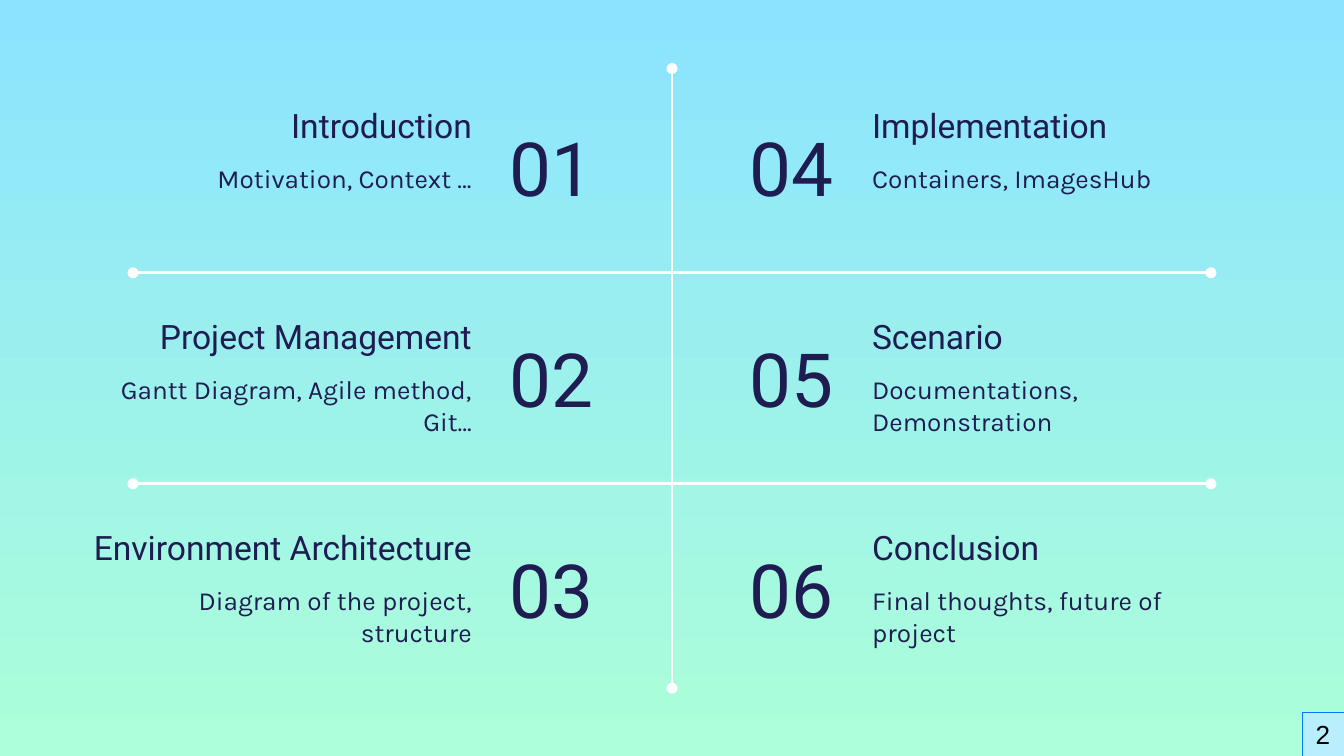
"""Build an agenda slide with six numbered sections around a white grid."""
from lxml.etree import SubElement
from pptx import Presentation
from pptx.dml.color import RGBColor
from pptx.enum.shapes import MSO_CONNECTOR, MSO_SHAPE
from pptx.enum.text import MSO_ANCHOR, MSO_AUTO_SIZE, PP_ALIGN
from pptx.oxml.ns import qn
from pptx.util import Inches, Pt

COLORS = {
    "sky": "8BE3FF",
    "mint": "ACFFD9",
    "ink": "1F1C51",
    "line": "FFFFFF",
    "badge": "B9EEFF",
    "badge_line": "007BFF",
    "black": "000000",
}
ROW_PITCH = 1.57
TEXT_WIDTH = 2.98
LEFT_EDGE = 3.61
RIGHT_EDGE = 6.39

LEFT_SECTIONS = [
    ("01", "Introduction", "Motivation, Context …", TEXT_WIDTH),
    ("02", "Project Management", "Gantt Diagram, Agile method, Git…", TEXT_WIDTH),
    ("03", "Environment Architecture", "Diagram of the project, structure", 3.23),
]
RIGHT_SECTIONS = [
    ("04", "Implementation", "Containers, ImagesHub"),
    ("05", "Scenario", "Documentations, Demonstration"),
    ("06", "Conclusion", "Final thoughts, future of project"),
]


def rgb(name):
    return RGBColor.from_string(COLORS[name])


def add_run(p, text, font, size, color):
    r = p.add_run()
    r.text = text
    r.font.name = font
    r.font.size = Pt(size)
    r.font.color.rgb = rgb(color)


def set_background(s):
    fill = s.background.fill
    fill.gradient()
    fill.gradient_angle = 270
    for stop, name in zip(fill.gradient_stops, ("sky", "mint")):
        stop.color.rgb = rgb(name)


def add_text(s, box, text, font, size, align, anchor):
    tf = s.shapes.add_textbox(*map(Inches, box)).text_frame
    tf.word_wrap = True
    tf.vertical_anchor = anchor
    tf.margin_left = tf.margin_right = Inches(0.1)
    tf.margin_top = tf.margin_bottom = Inches(0.1)
    p = tf.paragraphs[0]
    p.alignment = align
    add_run(p, text, font, size, "ink")


def add_divider(s, x1, y1, x2, y2):
    line = s.shapes.add_connector(
        MSO_CONNECTOR.STRAIGHT, Inches(x1), Inches(y1), Inches(x2), Inches(y2))
    line.line.color.rgb = rgb("line")
    line.line.width = Pt(1.5)
    ln = line.line._get_or_add_ln()
    for end in ("a:headEnd", "a:tailEnd"):
        SubElement(ln, qn(end), type="oval")
    SubElement(line._element.spPr, qn("a:effectLst"))


def add_section(s, row, number, title, detail, title_width=TEXT_WIDTH, left=True):
    y = row * ROW_PITCH
    number_x = 3.69 if left else 5
    title_x = LEFT_EDGE - title_width if left else RIGHT_EDGE
    detail_x = LEFT_EDGE - TEXT_WIDTH if left else RIGHT_EDGE
    text_align = PP_ALIGN.RIGHT if left else PP_ALIGN.LEFT
    number_align = PP_ALIGN.LEFT if left else PP_ALIGN.RIGHT
    add_text(s, (number_x, 0.81 + y, 1.3, 0.86), number, "Roboto", 40,
             number_align, MSO_ANCHOR.MIDDLE)
    add_text(s, (title_x, 0.68 + y, title_width, 0.5), title, "Roboto", 18,
             text_align, MSO_ANCHOR.BOTTOM)
    add_text(s, (detail_x, 1.11 + y, TEXT_WIDTH, 0.69), detail, "Karla", 14,
             text_align, MSO_ANCHOR.TOP)


def add_page_number(s, number):
    sp = s.shapes.add_shape(MSO_SHAPE.RECTANGLE, Inches(9.69), Inches(5.3),
                            Inches(0.32), Inches(0.34))
    sp.shadow.inherit = False
    sp.fill.solid()
    sp.fill.fore_color.rgb = rgb("badge")
    sp.line.color.rgb = rgb("badge_line")
    sp.line.width = Pt(0.75)
    tf = sp.text_frame
    tf.auto_size = MSO_AUTO_SIZE.SHAPE_TO_FIT_TEXT
    tf.vertical_anchor = MSO_ANCHOR.TOP
    p = tf.paragraphs[0]
    p.alignment = PP_ALIGN.LEFT
    add_run(p, number, "Arial", 14, "black")


def main():
    prs = Presentation()
    prs.slide_width = Inches(10)
    prs.slide_height = Inches(10 * 9 / 16)
    s = prs.slides.add_slide(prs.slide_layouts[6])
    set_background(s)
    add_divider(s, 5, 0.51, 5, 5.12)
    for row, section in enumerate(LEFT_SECTIONS):
        add_section(s, row, *section)
    for row, section in enumerate(RIGHT_SECTIONS):
        add_section(s, row, *section, left=False)
    for row in range(2):
        y = 2.03 + row * ROW_PITCH
        add_divider(s, 0.99, y, 9.01, y)
    add_page_number(s, "2")
    prs.save("out.pptx")


if __name__ == "__main__":
    main()
